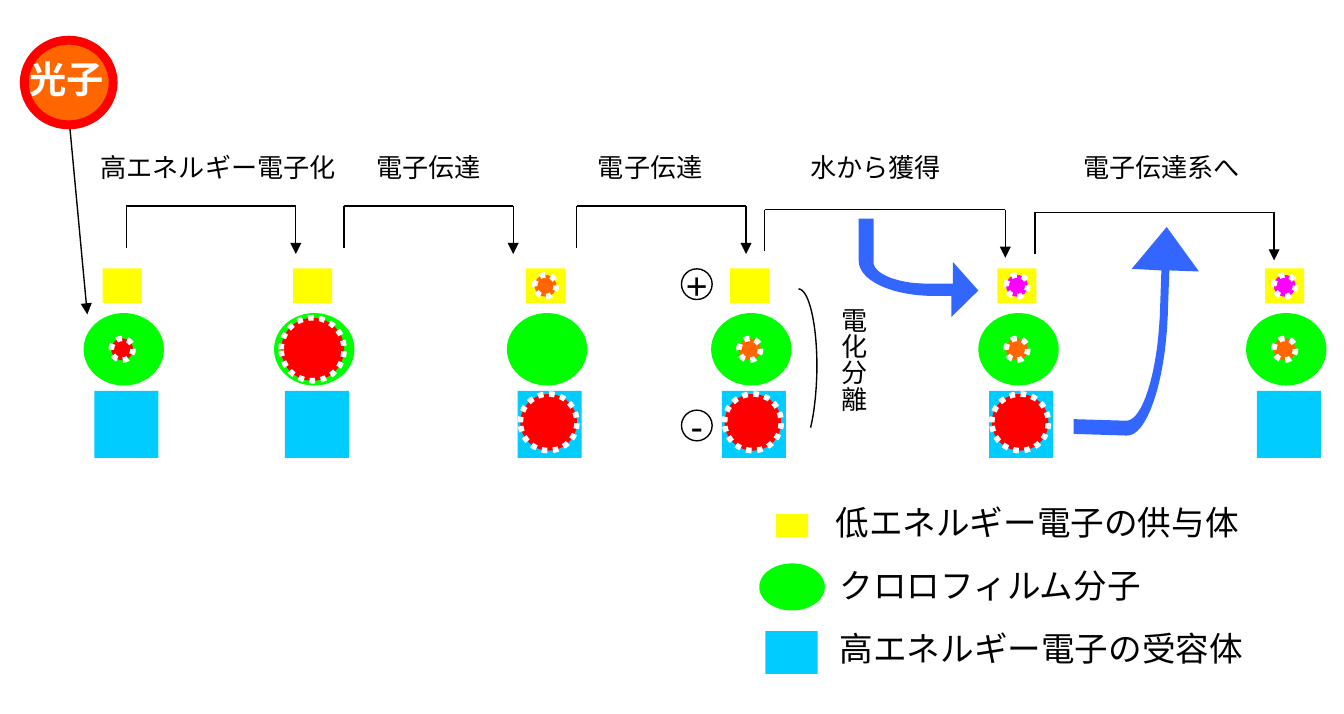
"""Build a slide on electron transfer between chlorophyll, donors and acceptors."""
from dataclasses import dataclass

from pptx import Presentation
from pptx.dml.color import RGBColor
from pptx.enum.dml import MSO_LINE
from pptx.enum.shapes import MSO_CONNECTOR, MSO_SHAPE
from pptx.enum.text import MSO_ANCHOR, PP_ALIGN
from pptx.oxml.xmlchemy import OxmlElement
from pptx.util import Cm, Pt

RECTANGLE = MSO_SHAPE.RECTANGLE
OVAL = MSO_SHAPE.OVAL
STRAIGHT = MSO_CONNECTOR.STRAIGHT
DOTTED = MSO_LINE.ROUND_DOT
LEFT, CENTER = PP_ALIGN.LEFT, PP_ALIGN.CENTER
TOP, MIDDLE = MSO_ANCHOR.TOP, MSO_ANCHOR.MIDDLE


@dataclass(frozen=True)
class Theme:
    font: str = "Arial"
    ink: str = "000000"
    white: str = "FFFFFF"
    donor: str = "FFFF00"
    chlorophyll: str = "00FF00"
    acceptor: str = "00CCFF"
    excited: str = "FF0000"
    electron: str = "FF6600"
    water_electron: str = "FF00FF"
    flow: str = "3366FF"
    label_size: int = 14
    legend_size: int = 18
    symbol_size: int = 20
    thin: float = 0.75
    dotted: float = 3
    ring: float = 4.75


theme = Theme()


def write_text(box, text, size, color=theme.ink, bold=False, align=LEFT, anchor=TOP,
               wrap=True, vertical=False):
    frame = box.text_frame
    frame.word_wrap = wrap
    frame.vertical_anchor = anchor
    across, along = (0.13, 0.25) if vertical else (0.25, 0.13)
    frame.margin_left = frame.margin_right = Cm(across)
    frame.margin_top = frame.margin_bottom = Cm(along)
    if vertical:
        frame._txBody.bodyPr.set("vert", "eaVert")
    para = frame.paragraphs[0]
    para.alignment = align
    span = para.add_run()
    span.text = text
    span.font.name = theme.font
    span.font.size = Pt(size)
    span.font.bold = bold
    span.font.color.rgb = RGBColor.from_string(color)


def curve_points(start, numbers, steps=16):
    points = [start, numbers[:2], numbers[2:4], numbers[4:]]
    for step in range(1, steps + 1):
        t = step / steps
        weights = ((1 - t) ** 3, 3 * t * (1 - t) ** 2, 3 * t ** 2 * (1 - t), t ** 3)
        yield tuple(sum(w * p[axis] for w, p in zip(weights, points)) for axis in (0, 1))


deck = Presentation()
deck.slide_width, deck.slide_height = Cm(25.4), Cm(13.49)
page = deck.slides.add_slide(deck.slide_layouts[6])

connectors = [(1.24, 1.55, 1.65, 5.94, True)]
for left, right, top in [(2.39, 5.59, 3.89), (6.5, 9.7, 3.89), (10.9, 14.1, 3.89),
                         (14.45, 19, 3.96), (19.56, 24.08, 4.01)]:
    connectors += [(left, top, left, top + 0.79, False),
                   (left, top, right, top, False),
                   (right, top, right, top + 0.91, True)]

for x1, y1, x2, y2, arrow in connectors:
    connector = page.shapes.add_connector(STRAIGHT, Cm(x1), Cm(y1), Cm(x2), Cm(y2))
    connector.line.color.rgb = RGBColor.from_string(theme.ink)
    connector.line.width = Pt(theme.thin)
    if arrow:
        tail = OxmlElement("a:tailEnd")
        tail.set("type", "triangle")
        connector.line._get_or_add_ln().append(tail)
    connector._element.spPr.append(OxmlElement("a:effectLst"))

# kind, centre x, centre y, width, height, fill, line, line width, dash, symbol
figures = [
    (RECTANGLE, 14.97, 9.93, 0.61, 0.43, theme.donor, None, 0, None, ""),
    (OVAL, 14.97, 11.09, 1.24, 0.89, theme.chlorophyll, None, 0, None, ""),
    (RECTANGLE, 14.96, 12.33, 0.99, 0.81, theme.acceptor, None, 0, None, ""),
    (OVAL, 1.3, 1.56, 1.68, 1.6, theme.electron, theme.excited, theme.ring, None, ""),
    (OVAL, 13.17, 5.37, 0.58, 0.58, None, theme.ink, theme.thin, None, "+"),
    (OVAL, 13.17, 8.04, 0.58, 0.58, None, theme.ink, theme.thin, None, "-"),
]
at_donor, at_chlorophyll, at_acceptor = (-0.03, 5.4), (-0.03, 6.6), (0.03, 7.98)
stages = [
    (2.34, [(at_chlorophyll, 0.41, theme.excited)]),
    (5.94, [(at_chlorophyll, 1.19, theme.excited)]),
    (10.34, [(at_donor, 0.41, theme.electron), (at_acceptor, 1.07, theme.excited)]),
    (14.2, [(at_chlorophyll, 0.41, theme.electron), (at_acceptor, 1.07, theme.excited)]),
    (19.25, [(at_donor, 0.41, theme.water_electron),
             (at_chlorophyll, 0.41, theme.electron), (at_acceptor, 1.07, theme.excited)]),
    (24.31, [(at_donor, 0.41, theme.water_electron),
             (at_chlorophyll, 0.41, theme.electron)]),
]
for center, electrons in stages:
    figures += [
        (RECTANGLE, center + 0.05, 8.02, 1.21, 1.27, theme.acceptor, None, 0, None, ""),
        (OVAL, center, 6.6, 1.52, 1.37, theme.chlorophyll, None, 0, None, ""),
        (RECTANGLE, center - 0.03, 5.4, 0.74, 0.66, theme.donor, None, 0, None, ""),
    ]
    for (shift, middle), size, color in electrons:
        figures.append((OVAL, center + shift, middle, size, size, color,
                        theme.white, theme.dotted, DOTTED, ""))

for kind, x, y, width, height, fill, line, weight, dash, symbol in figures:
    shape = page.shapes.add_shape(kind, Cm(x - width / 2), Cm(y - height / 2),
                                  Cm(width), Cm(height))
    shape.shadow.inherit = False
    if fill:
        shape.fill.solid()
        shape.fill.fore_color.rgb = RGBColor.from_string(fill)
    else:
        shape.fill.background()
    if line:
        shape.line.color.rgb = RGBColor.from_string(line)
        shape.line.width = Pt(weight)
        if dash:
            shape.line.dash_style = dash
    else:
        shape.line.fill.background()
    if symbol:
        write_text(shape, symbol, theme.symbol_size, align=CENTER, anchor=MIDDLE, wrap=False)

separation_bracket = [(15.09, 5.46), (15.24, 5.46, 15.37, 5.84, 15.42, 6.43),
                      (15.47, 7.01, 15.42, 7.67, 15.32, 8.08)]
water_arrow = [(16.23, 4.13), (16.23, 4.93), (16.23, 5.28, 16.79, 5.56, 17.53, 5.59),
               (17.98, 5.59), (17.98, 5.99), (18.49, 5.49), (18.01, 4.95), (18.01, 5.36),
               (17.53, 5.36), (16.94, 5.36, 16.48, 5.16, 16.51, 4.93), (16.51, 4.13)]
transfer_arrow = [(20.29, 8.2), (21.29, 8.23), (21.67, 8.26, 22.02, 7.24, 22.07, 5.97),
                  (22.1, 5.11), (22.66, 5.13), (22.05, 4.29), (21.39, 5.08), (21.95, 5.11),
                  (21.92, 5.97), (21.87, 7.06, 21.59, 7.95, 21.29, 7.95), (20.29, 7.92)]
for steps, filled in [(separation_bracket, False), (water_arrow, True), (transfer_arrow, True)]:
    points = [steps[0]]
    for step in steps[1:]:
        points += curve_points(points[-1], step) if len(step) == 6 else [step]
    corners = [(Cm(x), Cm(y)) for x, y in points]
    builder = page.shapes.build_freeform(*corners[0])
    builder.add_line_segments(corners[1:], close=filled)
    outline = builder.convert_to_shape()
    outline.shadow.inherit = False
    if filled:
        outline.fill.solid()
        outline.fill.fore_color.rgb = RGBColor.from_string(theme.flow)
        outline.line.fill.background()
    else:
        outline.fill.background()
        outline.line.color.rgb = RGBColor.from_string(theme.ink)
        outline.line.width = Pt(theme.thin)

label, legend = {"size": theme.label_size}, {"size": theme.legend_size}
photon = {"size": theme.symbol_size, "color": theme.white, "bold": True}
for text, left, top, width, height, style in [
    ("高エネルギー電子化", 1.65, 2.74, 5, 0.86, label),
    ("電子伝達", 6.86, 2.74, 3.2, 0.86, label),
    ("電子伝達", 11.05, 2.74, 3, 0.86, label),
    ("水から獲得", 15.06, 2.74, 3.58, 0.86, label),
    ("電子伝達系へ", 20.22, 2.74, 3.71, 0.86, label),
    ("電化分離", 15.47, 5.56, 1.09, 2.59, {**label, "vertical": True}),
    ("低エネルギー電子の供与体", 15.54, 9.35, 9.32, 1.02, legend),
    ("クロロフィルム分子", 15.62, 10.54, 6.6, 1.02, legend),
    ("高エネルギー電子の受容体", 15.62, 11.73, 8.74, 1.02, legend),
    ("光子", 0.3, 0.94, 2.11, 1.12, photon),
]:
    box = page.shapes.add_textbox(Cm(left), Cm(top), Cm(width), Cm(height))
    write_text(box, text, **style)

deck.save("out.pptx")
